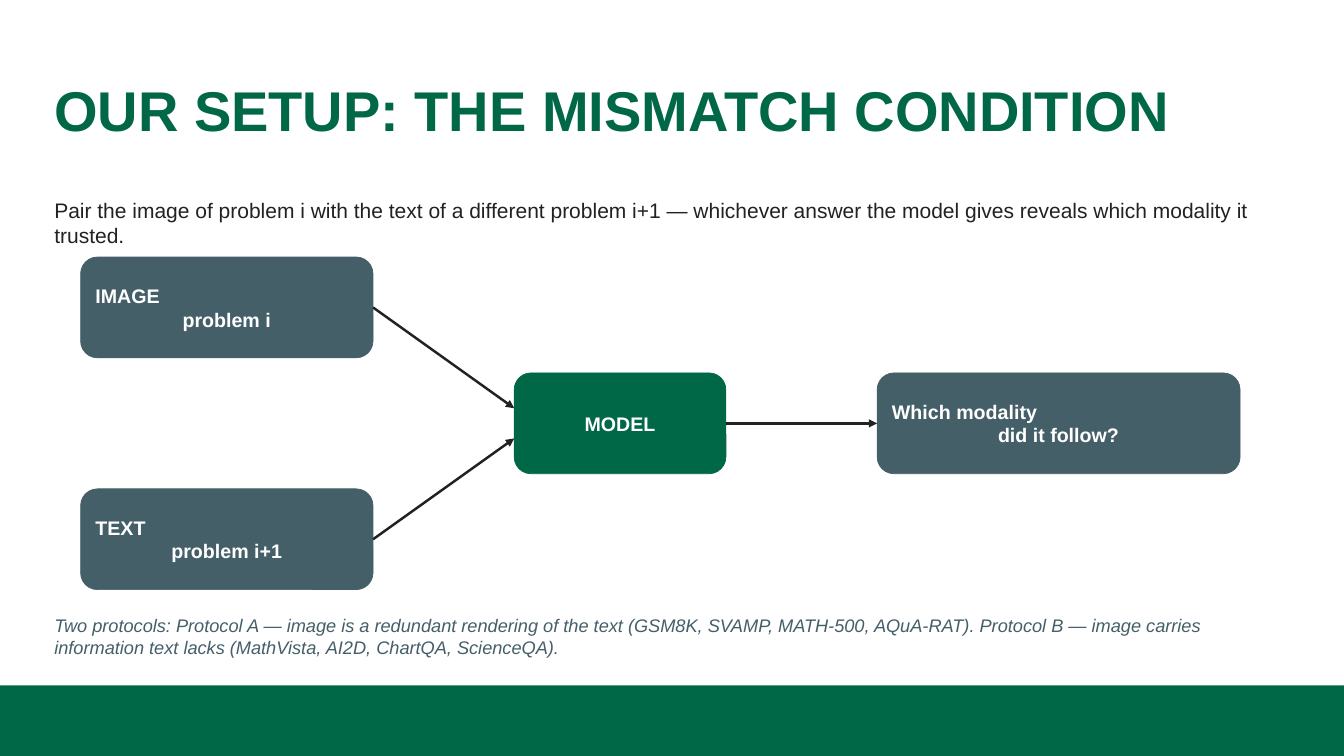
from pptx import Presentation
from pptx.dml.color import RGBColor
from pptx.enum import shapes as sh, text as tx
from pptx.oxml import parse_xml
from pptx.oxml.ns import nsdecls
from pptx.util import Inches, Pt

GREEN = RGBColor(0x00, 0x67, 0x47)
SLATE = RGBColor(0x45, 0x5F, 0x69)
INK = RGBColor(0x22, 0x22, 0x22)
WHITE = RGBColor(0xFF, 0xFF, 0xFF)
LEFT, MID = tx.PP_ALIGN.LEFT, tx.PP_ALIGN.CENTER

deck = Presentation()
deck.slide_width, deck.slide_height = Inches(13.33), Inches(7.5)
slide = deck.slides.add_slide(deck.slide_layouts[6])


def write(para, words, color, **form):
    run = para.add_run()
    run.text = words
    run.font.name = "Arial"
    run.font.color.rgb = color
    for key, value in form.items():
        setattr(run.font, key, value)


def block(kind, left, top, width, height, fill):
    shape = slide.shapes.add_shape(
        kind, Inches(left), Inches(top), Inches(width), Inches(height))
    shape.shadow.inherit = False
    shape.fill.solid()
    shape.fill.fore_color.rgb = fill
    shape.line.color.rgb = fill
    shape.line.width = Pt(0.5)
    return shape


band = block(sh.MSO_SHAPE.RECTANGLE, 0, 6.8, 13.33, 0.7, GREEN)
band.line.fill.background()

notes = [
    (0.4, 1.45, "OUR SETUP: THE MISMATCH CONDITION", GREEN,
     {"size": Pt(40), "bold": True}),
    (1.91, 0.77, "Pair the image of problem i with the text of a different "
     "problem i+1 — whichever answer the model gives reveals which modality "
     "it trusted.", INK, {"size": Pt(15)}),
    (6.05, 0.6, "Two protocols: Protocol A — image is a redundant rendering "
     "of the text (GSM8K, SVAMP, MATH-500, AQuA-RAT). Protocol B — image "
     "carries information text lacks (MathVista, AI2D, ChartQA, ScienceQA).",
     SLATE, {"size": Pt(13), "italic": True}),
]
frames = []
for top, height, words, color, form in notes:
    box = slide.shapes.add_textbox(
        Inches(0.44), Inches(top), Inches(12.48), Inches(height))
    box.text_frame.word_wrap = True
    write(box.text_frame.paragraphs[0], words, color, **form)
    frames.append(box.text_frame)
title = frames[0]
title.vertical_anchor = tx.MSO_ANCHOR.MIDDLE
title.paragraphs[0].line_spacing = 0.9

nodes = [
    (0.8, 2.55, 2.9, SLATE, [("IMAGE", LEFT), ("problem i", MID)]),
    (0.8, 4.85, 2.9, SLATE, [("TEXT", LEFT), ("problem i+1", MID)]),
    (5.1, 3.7, 2.1, GREEN, [("MODEL", MID)]),
    (8.7, 3.7, 3.6, SLATE, [("Which modality", LEFT), ("did it follow?", MID)]),
]
boxes = []
for left, top, width, fill, lines in nodes:
    node = block(sh.MSO_SHAPE.ROUNDED_RECTANGLE, left, top, width, 1, fill)
    frame = node.text_frame
    frame.word_wrap = True
    frame.vertical_anchor = tx.MSO_ANCHOR.MIDDLE
    for n, (words, align) in enumerate(lines):
        para = frame.add_paragraph() if n else frame.paragraphs[0]
        para.alignment = align
        write(para, words, WHITE, size=Pt(14), bold=True)
    boxes.append(node)
image, prompt, model, answer = boxes

arrows = [
    (image, 3.7, 3.05, 5.1, 4.05, None),
    (prompt, 3.7, 5.35, 5.1, 4.35, None),
    (model, 7.2, 4.2, 8.7, 4.2, answer),
]
for start, x1, y1, x2, y2, goal in arrows:
    arrow = slide.shapes.add_connector(
        sh.MSO_CONNECTOR.STRAIGHT,
        Inches(x1), Inches(y1), Inches(x2), Inches(y2))
    arrow.begin_connect(start, 3)
    if goal is not None:
        arrow.end_connect(goal, 1)
    arrow.line.color.rgb = INK
    arrow.line.width = Pt(1.75)
    arrow.line._get_or_add_ln().append(
        parse_xml(f'<a:tailEnd {nsdecls("a")} type="triangle"/>'))
    arrow._element.spPr.append(parse_xml(f'<a:effectLst {nsdecls("a")}/>'))

deck.save("out.pptx")
